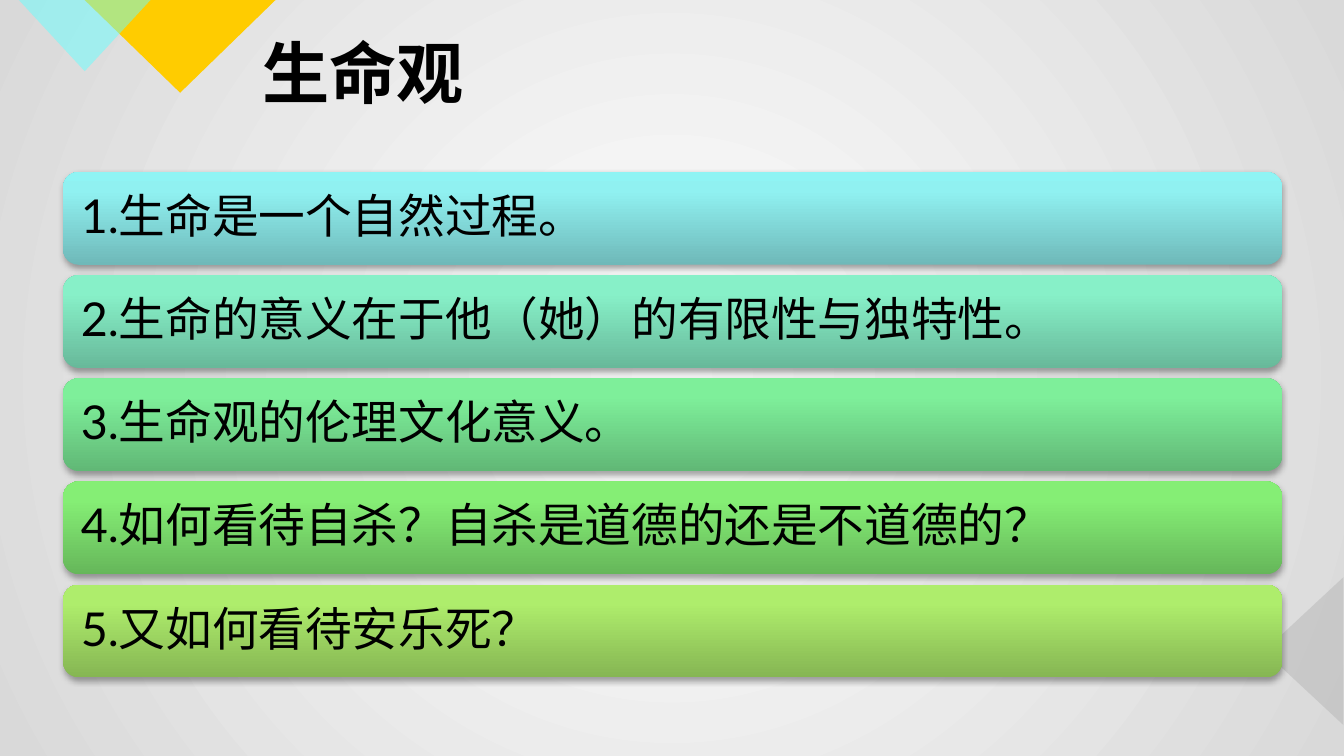
from pptx import Presentation
from pptx.dml.color import RGBColor
from pptx.enum.shapes import MSO_SHAPE
from pptx.enum.text import MSO_ANCHOR, PP_ALIGN
from pptx.oxml import parse_xml
from pptx.oxml.ns import nsdecls, qn
from pptx.util import Inches, Pt

BLACK = RGBColor(0x00, 0x00, 0x00)
GOLD = RGBColor(0xFF, 0xCC, 0x00)
AQUA = RGBColor(0x66, 0xFF, 0xFF)
GREY = RGBColor(0xB7, 0xB7, 0xB7)
WHITE = RGBColor(0xFF, 0xFF, 0xFF)
SILVER = RGBColor(0xD9, 0xD9, 0xD9)
NS = nsdecls("a")
HAN = "Noto Sans CJK SC"


def shade(fill, root, stops, way):
    fill.gradient()
    grad = next(root.iter(qn("a:gradFill")))
    for child in list(grad):
        grad.remove(child)
    marks = "".join(
        f'<a:gs pos="{pos * 1000}"><a:srgbClr val="{tone}"/></a:gs>'
        for pos, tone in stops
    )
    grad.append(parse_xml(f"<a:gsLst {NS}>{marks}</a:gsLst>"))
    grad.append(parse_xml(way))


def write(frame, text, look):
    frame.word_wrap = True
    frame.vertical_anchor = MSO_ANCHOR.MIDDLE
    para = frame.paragraphs[0]
    para.alignment = PP_ALIGN.LEFT
    run = para.add_run()
    run.text = text
    for name, value in look.items():
        setattr(run.font, name, value)
    run.font.color.rgb = BLACK
    face = run.font.element if hasattr(run.font, "element") else run._r.rPr
    face.append(parse_xml(f'<a:ea {NS} typeface="{HAN}"/>'))
    return para


deck = Presentation()
deck.slide_width = Inches(10)
deck.slide_height = Inches(10 * 9 / 16)
slide = deck.slides.add_slide(deck.slide_layouts[5])

shade(
    slide.background.fill, slide.element, [(0, WHITE), (100, SILVER)],
    f'<a:path {NS} path="circle">'
    '<a:fillToRect l="50000" t="50000" r="50000" b="50000"/></a:path>',
)

corners = [
    (0.63, 0, 1.42, 0.69, 180, GOLD, 100),
    (0.14, 0, 0.98, 0.53, 180, AQUA, 50),
    (9.15, 4.55, 1.1, 0.59, 270, GREY, 50),
]
for left, top, width, height, turn, tone, alpha in corners:
    wedge = slide.shapes.add_shape(
        MSO_SHAPE.ISOSCELES_TRIANGLE,
        Inches(left), Inches(top), Inches(width), Inches(height),
    )
    wedge.rotation = turn
    wedge.shadow.inherit = False
    wedge.line.fill.background()
    wedge.fill.solid()
    wedge.fill.fore_color.rgb = tone
    if alpha < 100:
        color = next(wedge.element.spPr.iter(qn("a:srgbClr")))
        color.append(parse_xml(f'<a:alpha {NS} val="{alpha * 1000}"/>'))

title = slide.shapes.title
place = {"left": 1.85, "top": 0.27, "width": 7.19, "height": 0.53}
for name, value in place.items():
    setattr(title, name, Inches(value))
write(title.text_frame, "生命观", {"size": Pt(36), "bold": True, "name": HAN})

points = [
    ("1.生命是一个自然过程。", "6FB9B9", "90F1F1", "8FF4F4"),
    ("2.生命的意义在于他（她）的有限性与独特性。", "68B99A", "87F0C8", "85F3CA"),
    ("3.生命观的伦理文化意义。", "61B876", "7EEF9A", "7CF299"),
    ("4.如何看待自杀？自杀是道德的还是不道德的？", "66B75A", "85EE75", "84F173"),
    ("5.又如何看待安乐死？", "86B653", "AEED6C", "AFF06A"),
]
first, last = 1.28, 4.35
step = (last - first) / (len(points) - 1)
for row, (text, *tones) in enumerate(points):
    bar = slide.shapes.add_shape(
        MSO_SHAPE.ROUNDED_RECTANGLE,
        Inches(0.47), Inches(first + row * step), Inches(9.07), Inches(0.69),
    )
    bar.line.fill.background()
    stops = zip((0, 80, 100), map(RGBColor.from_string, tones))
    shade(bar.fill, bar.element.spPr, stops,
          f'<a:lin {NS} ang="16200000" scaled="0"/>')
    bar.shadow.inherit = False
    bar.element.spPr.find(qn("a:effectLst")).append(parse_xml(
        f'<a:outerShdw {NS} blurRad="{Pt(3.1)}" dist="{Pt(1.8)}" dir="5400000" '
        f'rotWithShape="0"><a:srgbClr val="{BLACK}"><a:alpha val="35000"/>'
        '</a:srgbClr></a:outerShdw>'
    ))
    for side in ("left", "top", "right", "bottom"):
        setattr(bar.text_frame, f"margin_{side}", Inches(0.1))
    para = write(bar.text_frame, text, {"size": Pt(25), "name": "Lato"})
    para.line_spacing = 0.9
    para.space_after = Pt(9)

deck.save("out.pptx")
